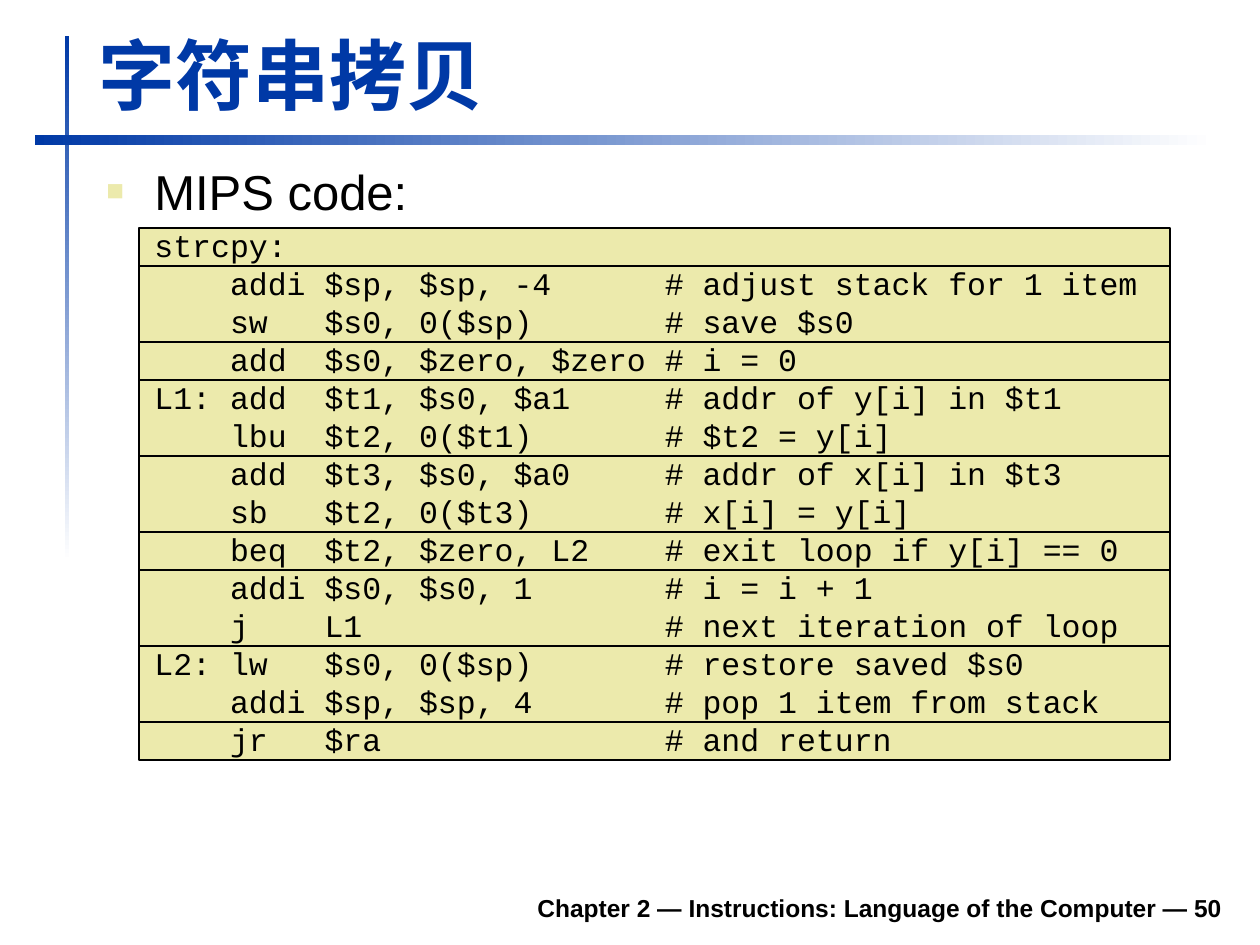
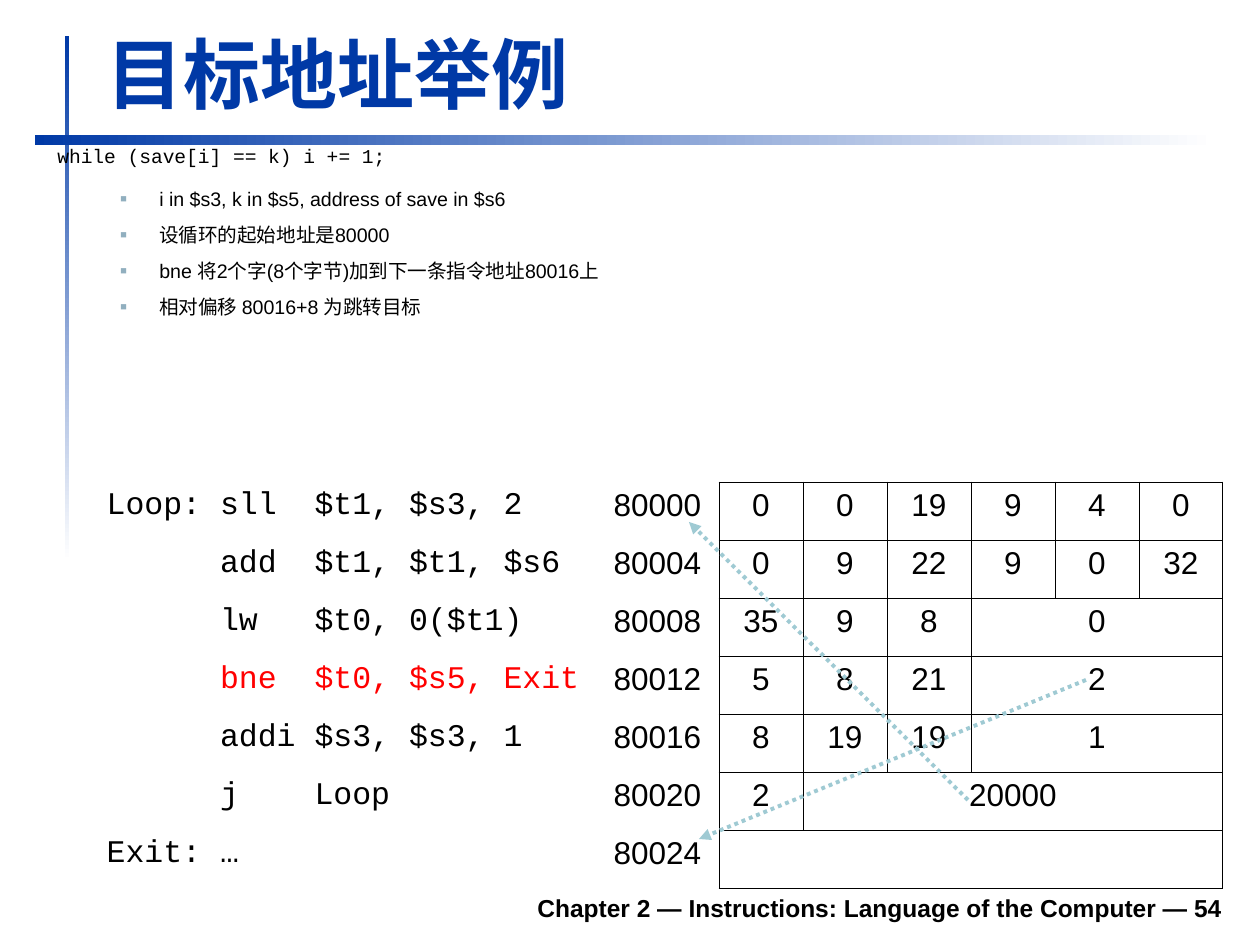
from lxml.etree import SubElement
from pptx import Presentation
from pptx.dml.color import RGBColor
from pptx.enum.dml import MSO_LINE
from pptx.enum.shapes import MSO_CONNECTOR, MSO_SHAPE
from pptx.enum.text import MSO_ANCHOR, MSO_AUTO_SIZE, PP_ALIGN
from pptx.oxml.ns import qn
from pptx.util import Emu, Pt

BLUE = RGBColor(0x00, 0x39, 0xA6)
WHITE = RGBColor(0xFF, 0xFF, 0xFF)
BLACK = RGBColor(0x00, 0x00, 0x00)
RED = RGBColor(0xFF, 0x00, 0x00)
SAND = RGBColor(0xEC, 0xEA, 0xAC)
STEEL = RGBColor(0x91, 0xAF, 0xBF)
AQUA = RGBColor(0x9F, 0xCA, 0xD3)
SANS, MONO = "Arial", "Courier New"

FOOTER = "Chapter 2 — Instructions: Language of the Computer — {}"
RULES = [((65, 36, 4, 525), 270), ((35, 135, 1180, 10), 0)]

COPY_TITLE = "字符串拷贝"
COPY_HEADING = "MIPS code:"
COPY_GROUPS = [
    ["strcpy:"],
    ["    addi $sp, $sp, -4      # adjust stack for 1 item",
     "    sw   $s0, 0($sp)       # save $s0"],
    ["    add  $s0, $zero, $zero # i = 0"],
    ["L1: add  $t1, $s0, $a1     # addr of y[i] in $t1",
     "    lbu  $t2, 0($t1)       # $t2 = y[i]"],
    ["    add  $t3, $s0, $a0     # addr of x[i] in $t3",
     "    sb   $t2, 0($t3)       # x[i] = y[i]"],
    ["    beq  $t2, $zero, L2    # exit loop if y[i] == 0"],
    ["    addi $s0, $s0, 1       # i = i + 1",
     "    j    L1                # next iteration of loop"],
    ["L2: lw   $s0, 0($sp)       # restore saved $s0",
     "    addi $sp, $sp, 4       # pop 1 item from stack"],
    ["    jr   $ra               # and return"],
]
BAND_LEFT, BAND_TOP, BAND_WIDTH, CODE_PITCH = 139, 228, 1031, 38

TARGET_TITLE = "目标地址举例"
TARGET_SOURCE = "while (save[i] == k) i += 1;"
TARGET_NOTES = [
    "i in $s3, k in $s5, address of save in $s6",
    "设循环的起始地址是80000",
    "bne 将2个字(8个字节)加到下一条指令地址80016上",
    "相对偏移 80016+8 为跳转目标",
]
FIRST_ADDRESS = 80000
INSTRUCTIONS = [
    ("Loop: sll  $t1, $s3, 2", ["0", "0", "19", "9", "4", "0"]),
    ("      add  $t1, $t1, $s6", ["0", "9", "22", "9", "0", "32"]),
    ("      lw   $t0, 0($t1)", ["35", "9", "8", "0"]),
    ("      bne  $t0, $s5, Exit", ["5", "8", "21", "2"]),
    ("      addi $s3, $s3, 1", ["8", "19", "19", "1"]),
    ("      j    Loop", ["2", "20000"]),
    ("Exit: …", []),
]
BRANCH_ROW = 3
TABLE_LEFT, TABLE_TOP, ROW_HEIGHT = 94, 482, 58
COLUMN_WIDTHS = [507, 118] + [84] * 6
JUMPS = [((968, 800), (689, 522)), ((1086, 680), (699, 839))]


def px(length):
    return Emu(round(length * 914400 / 126))


def box(*lengths):
    return [px(length) for length in lengths]


def add_run(paragraph, text, size, font=SANS, color=BLACK, bold=False):
    run = paragraph.add_run()
    run.text = text
    run.font.size = Pt(size)
    run.font.name = font
    run.font.bold = bold
    run.font.color.rgb = color


def set_indent(paragraph, margin, hanging=0):
    properties = paragraph._p.get_or_add_pPr()
    properties.set("marL", str(px(margin)))
    properties.set("indent", str(px(-hanging)))


def set_bullet(paragraph, color, percent):
    properties = paragraph._p.get_or_add_pPr()
    fill = SubElement(properties, qn("a:buClr"))
    SubElement(fill, qn("a:srgbClr"), val=str(color))
    SubElement(properties, qn("a:buSzPct"), val=str(percent * 1000))
    SubElement(properties, qn("a:buFont"), typeface=SANS)
    SubElement(properties, qn("a:buChar"), char="■")


def add_text_frame(slide, *lengths):
    frame = slide.shapes.add_textbox(*box(*lengths)).text_frame
    frame.word_wrap = True
    return frame


def add_rectangle(slide, *lengths):
    shape = slide.shapes.add_shape(MSO_SHAPE.RECTANGLE, *box(*lengths))
    shape.shadow.inherit = False
    return shape


def add_base_slide(presentation, title_text, left, top, number):
    slide = presentation.slides.add_slide(presentation.slide_layouts[5])
    for place, angle in RULES:
        rule = add_rectangle(slide, *place)
        rule.line.fill.background()
        rule.fill.gradient()
        rule.fill.gradient_angle = angle
        for stop, color in zip(rule.fill.gradient_stops, (BLUE, WHITE)):
            stop.color.rgb = color

    title = slide.shapes.title
    title.left, title.top, title.width, title.height = box(left, top, 1138, 106)
    frame = title.text_frame
    frame.word_wrap = True
    frame.vertical_anchor = MSO_ANCHOR.BOTTOM
    frame.auto_size = MSO_AUTO_SIZE.SHAPE_TO_FIT_TEXT
    frame.paragraphs[0].alignment = PP_ALIGN.LEFT
    add_run(frame.paragraphs[0], title_text, 44, color=BLUE, bold=True)

    footer = add_text_frame(slide, 233, 880, 1002, 49)
    footer.vertical_anchor = MSO_ANCHOR.BOTTOM
    footer.paragraphs[0].alignment = PP_ALIGN.RIGHT
    add_run(footer.paragraphs[0], FOOTER.format(number), 14, bold=True)
    return slide


def build_copy_slide(presentation):
    slide = add_base_slide(presentation, COPY_TITLE, 86, 20, 50)
    top = BAND_TOP
    for group in COPY_GROUPS:
        height = CODE_PITCH * len(group)
        band = add_rectangle(slide, BAND_LEFT, top, BAND_WIDTH, height)
        band.fill.solid()
        band.fill.fore_color.rgb = SAND
        band.line.color.rgb = BLACK
        band.line.width = Pt(0.75)
        top += height

    frame = add_text_frame(slide, 94, 155, 1139, 700)
    heading = frame.paragraphs[0]
    set_indent(heading, 48, 48)
    set_bullet(heading, SAND, 60)
    add_run(heading, COPY_HEADING, 28)
    code = frame.add_paragraph()
    set_indent(code, 48)
    code.space_before = px(6)
    code.line_spacing = px(CODE_PITCH)
    lines = [line for group in COPY_GROUPS for line in group]
    for index, line in enumerate(lines):
        if index:
            code.add_line_break()
        add_run(code, line, 18, MONO)


def set_borders(cell, colors):
    properties = cell._tc.get_or_add_tcPr()
    for side, color in zip("LRTB", colors):
        line = SubElement(properties, qn(f"a:ln{side}"), w=str(Pt(0.45)))
        fill = SubElement(line, qn("a:solidFill"))
        SubElement(fill, qn("a:srgbClr"), val=str(color))


def add_instruction_table(slide):
    rows, columns = len(INSTRUCTIONS), len(COLUMN_WIDTHS)
    table = slide.shapes.add_table(
        rows, columns,
        *box(TABLE_LEFT, TABLE_TOP, sum(COLUMN_WIDTHS), rows * ROW_HEIGHT)).table
    table.first_row = table.horz_banding = False
    for column, width in zip(table.columns, COLUMN_WIDTHS):
        column.width = px(width)
    borders = [[WHITE] * 4, [WHITE, BLACK, WHITE, WHITE]] + [[BLACK] * 4] * 6

    for row, (code, fields) in enumerate(INSTRUCTIONS):
        table.rows[row].height = px(ROW_HEIGHT)
        for column in range(columns):
            cell = table.cell(row, column)
            set_borders(cell, borders[column])
            cell.fill.background()
        texts = [code, str(FIRST_ADDRESS + 4 * row)] + fields
        for column, text in enumerate(texts):
            paragraph = table.cell(row, column).text_frame.paragraphs[0]
            paragraph.alignment = PP_ALIGN.CENTER if column > 1 else PP_ALIGN.LEFT
            is_branch = row == BRANCH_ROW and column == 0
            add_run(paragraph, text, 18, SANS if column else MONO,
                    RED if is_branch else BLACK)
        last = max(len(texts) - 1, 2)
        if last < columns - 1:
            table.cell(row, last).merge(table.cell(row, columns - 1))


def add_jump_arrow(slide, start, end):
    arrow = slide.shapes.add_connector(MSO_CONNECTOR.STRAIGHT, *box(*start, *end))
    arrow.line.color.rgb = AQUA
    arrow.line.width = Pt(2.25)
    arrow.line.dash_style = MSO_LINE.ROUND_DOT
    SubElement(arrow.line._get_or_add_ln(), qn("a:tailEnd"), type="triangle")
    SubElement(arrow._element.spPr, qn("a:effectLst"))


def build_target_slide(presentation):
    slide = add_base_slide(presentation, TARGET_TITLE, 94, 19, 54)
    frame = add_text_frame(slide, 45, 141, 1180, 180)
    source = frame.paragraphs[0]
    source.line_spacing = px(20)
    add_run(source, TARGET_SOURCE, 11.2, MONO)
    for index, note in enumerate(TARGET_NOTES):
        paragraph = frame.add_paragraph()
        paragraph.level = 1
        set_indent(paragraph, 102, 39)
        set_bullet(paragraph, STEEL, 55)
        paragraph.line_spacing = px(36)
        paragraph.space_before = px(0 if index else 7)
        add_run(paragraph, note, 11.2)
    add_instruction_table(slide)
    for start, end in JUMPS:
        add_jump_arrow(slide, start, end)


def main():
    presentation = Presentation()
    presentation.slide_width, presentation.slide_height = box(1260, 945)
    build_copy_slide(presentation)
    build_target_slide(presentation)
    presentation.save("out.pptx")


if __name__ == "__main__":
    main()
